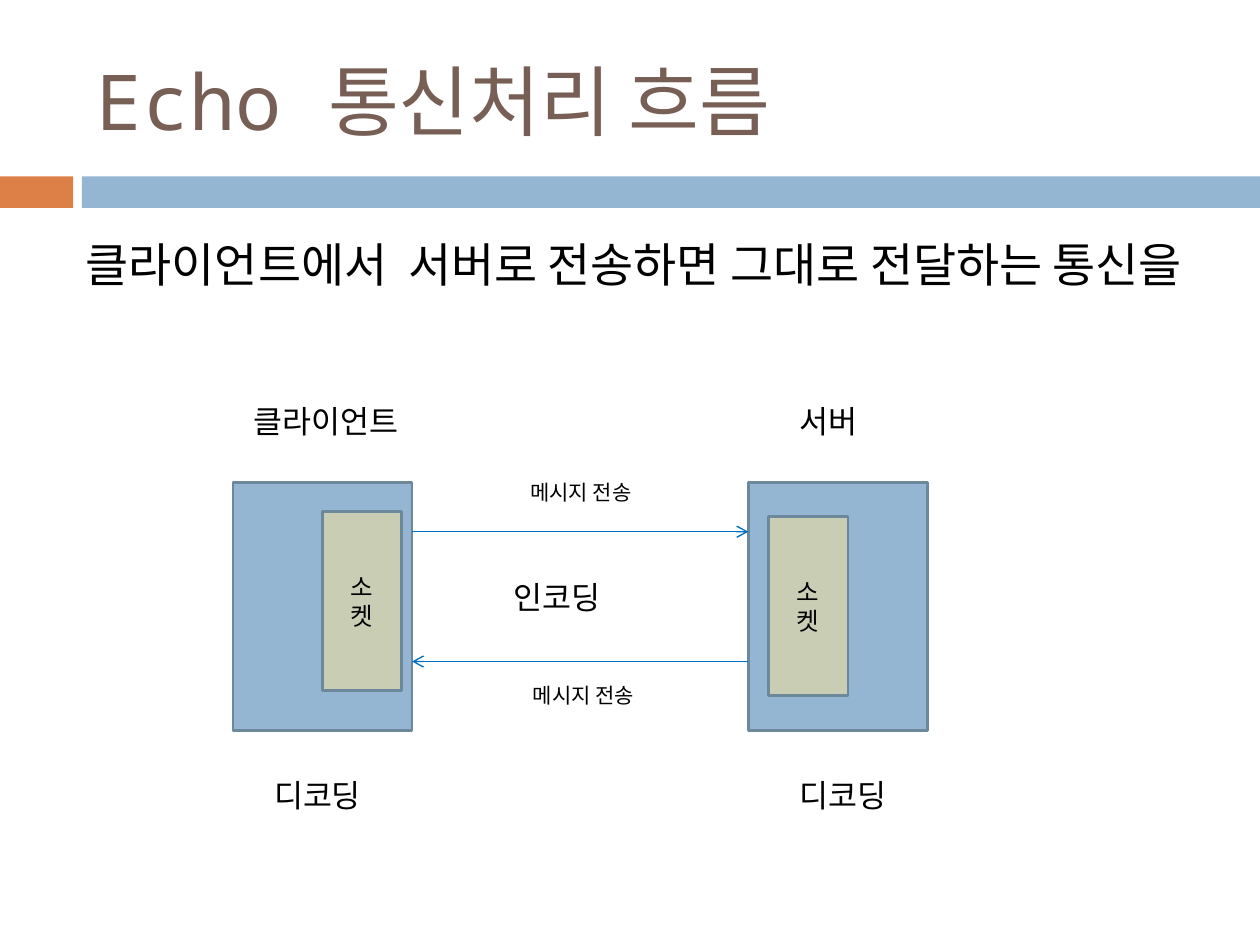
from pptx import Presentation
from pptx import util as u
from pptx.dml.color import RGBColor
from pptx.enum import shapes, text
from pptx.oxml.ns import qn
from lxml import etree

WIDTH, HEIGHT = u.Inches(10), u.Inches(7.5)
FONT = "Noto Sans Mono"
BLUE, ORANGE, SAGE = "94B6D2", "DD8047", "C9CDB3"
BORDER, ARROW, BROWN, BLACK = "6D879B", "0070C0", "775F55", "000000"
CENTER = text.PP_ALIGN.CENTER
LEFT = text.PP_ALIGN.LEFT


def color(hex_value):
    return RGBColor.from_string(hex_value)


def across(share):
    """Percent of the slide width."""
    return round(WIDTH * share / 100)


def down(share):
    """Percent of the slide height."""
    return round(HEIGHT * share / 100)


def area(left, top, width, height):
    return across(left), down(top), across(width), down(height)


def write(box, wording, size, ink=BLACK, align=CENTER):
    frame = box.text_frame
    frame.word_wrap = True
    frame.text = wording
    for para in frame.paragraphs:
        para.alignment = align
        for span in para.runs:
            span.font.name = FONT
            span.font.size = u.Pt(size)
            span.font.color.rgb = color(ink)
    return frame


def add_block(page, place, fill, border=None):
    block = page.shapes.add_shape(shapes.MSO_SHAPE.RECTANGLE, *area(*place))
    block.shadow.inherit = False
    block.fill.solid()
    block.fill.fore_color.rgb = color(fill)
    if border:
        block.line.color.rgb = color(border)
        block.line.width = u.Pt(1.5)
    else:
        block.line.fill.background()
    return block


def add_text(page, place, wording, size, ink=BLACK, align=LEFT):
    box = page.shapes.add_textbox(*area(*place))
    return write(box, wording, size, ink, align)


def add_label(page, place, wording, size=18, align=CENTER):
    frame = add_text(page, place, wording, size, align=align)
    frame.auto_size = text.MSO_AUTO_SIZE.SHAPE_TO_FIT_TEXT


def add_socket(page, left, top):
    socket = add_block(page, (left, top, 6.3, 18.93), SAGE, BORDER)
    frame = write(socket, "소\n켓", 14)
    frame.vertical_anchor = text.MSO_ANCHOR.MIDDLE


def add_arrow(page, start, end, level):
    arrow = page.shapes.add_connector(
        shapes.MSO_CONNECTOR.STRAIGHT,
        across(start), down(level), across(end), down(level))
    arrow.line.color.rgb = color(ARROW)
    arrow.line.width = u.Pt(0.79)
    etree.SubElement(arrow.line._get_or_add_ln(), qn("a:tailEnd"), type="arrow")
    etree.SubElement(arrow._element.spPr, qn("a:effectLst"))


def add_heading(page):
    add_block(page, (0, 18.67, 5.8, 3.33), ORANGE)
    add_block(page, (6.5, 18.67, 93.5, 3.33), BLUE)
    title = add_text(page, (6.7, 3.33, 89.2, 14.4), "Echo 통신처리 흐름", 44, BROWN)
    title.vertical_anchor = text.MSO_ANCHOR.MIDDLE


def add_summary(page):
    frame = add_text(page, (5, 23.73, 90, 14.67),
                     " 클라이언트에서  서버로 전송하면 그대로 전달하는 통신을", 26.8)
    para = frame.paragraphs[0]
    para.line_spacing = 1.1
    para.space_before = u.Pt(7)


def add_flow(page):
    client, server, machine = 18.5, 59.4, 14.2

    # Machines and their names
    for left in (client, server):
        add_block(page, (left, 51.07, machine, 26.27), BLUE, BORDER)
    for left, name in ((17.2, "클라이언트"), (57.1, "서버")):
        add_label(page, (left, 41.87, 17.3, 5.33), name)

    # Messages there and back
    client_edge = client + machine
    add_arrow(page, client_edge, server, 56.27)
    add_arrow(page, server, client_edge, 70)

    # Sockets
    add_socket(page, 25.6, 54.13)
    add_socket(page, 61, 54.67)

    # Message and coding labels
    for left, top in ((39.2, 71.6), (39, 50.13)):
        add_label(page, (left, top, 14.2, 4), "메시지 전송", 12)
    add_label(page, (39.8, 60.53, 15, 5.33), "인코딩", align=LEFT)
    for left in (17.7, server):
        add_label(page, (left, 81.47, 15, 5.33), "디코딩")


def main():
    deck = Presentation()
    deck.slide_width, deck.slide_height = WIDTH, HEIGHT
    page = deck.slides.add_slide(deck.slide_layouts[6])
    add_heading(page)
    add_flow(page)
    add_summary(page)
    deck.save("out.pptx")


if __name__ == "__main__":
    main()
